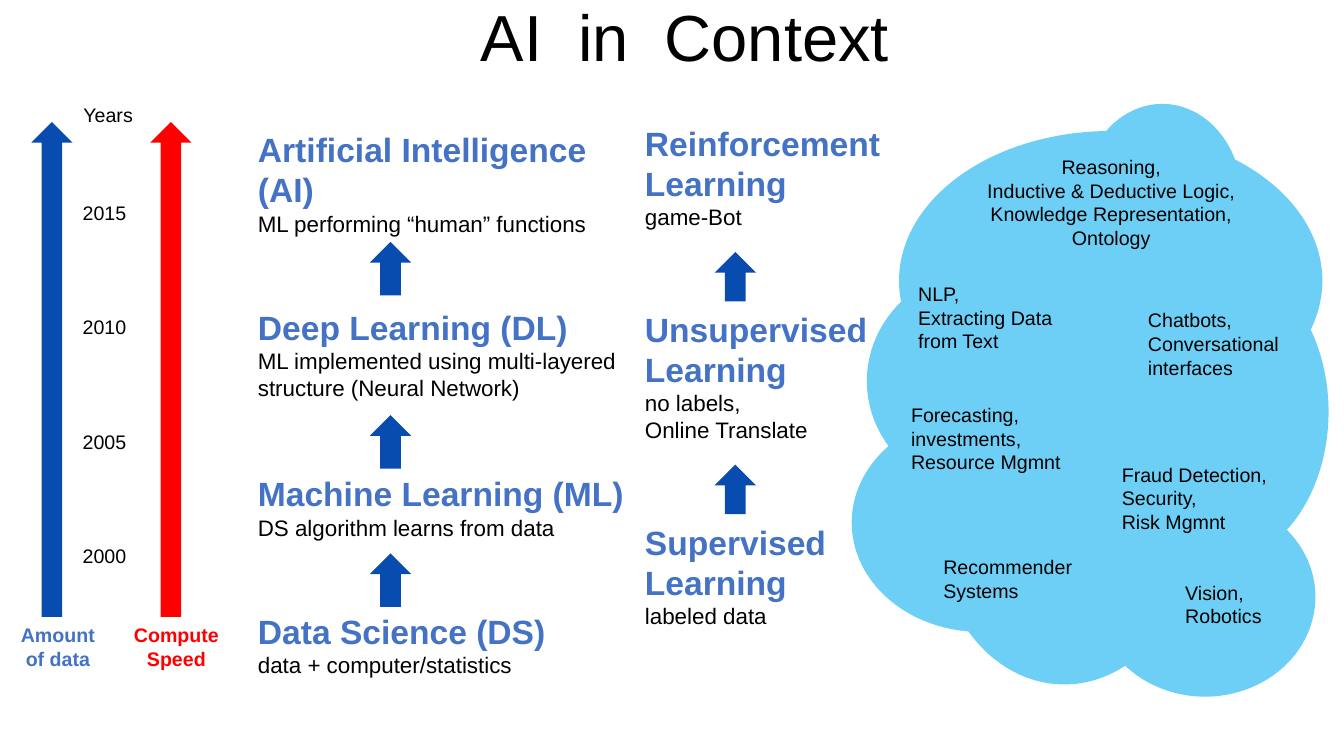
from typing import NamedTuple

from pptx import Presentation
from pptx.dml.color import RGBColor
from pptx.enum.shapes import MSO_SHAPE as Shape
from pptx.enum.text import MSO_ANCHOR as Anchor, PP_ALIGN as Align
from pptx.util import Pt

BLACK, BLUE, NAVY = "000000", "4472C4", "084CB0"
RED, SKY = "FF0000", "6DCFF6"


class Box(NamedTuple):
    left: float
    top: float
    width: float
    height: float


class Line(NamedTuple):
    text: str
    size: float = 14
    color: str = BLACK
    bold: bool = False
    gap: float = 0


class Note(NamedTuple):
    box: Box
    lines: list[Line]
    align: Align = Align.LEFT


def tint(code: str) -> RGBColor:
    return RGBColor.from_string(code)


def head(text: str, gap: float = 0) -> Line:
    return Line(text, 24, BLUE, True, gap)


def body(text: str) -> Line:
    return Line(text, 16)


def plain(*texts: str) -> list[Line]:
    return [Line(text) for text in texts]


def draw_shape(slide, kind: Shape, box: Box, color: str) -> None:
    shape = slide.shapes.add_shape(kind, *map(Pt, box))
    shape.shadow.inherit = False
    shape.fill.solid()
    shape.fill.fore_color.rgb = tint(color)
    shape.line.fill.background()


def draw_note(slide, note: Note):
    frame = slide.shapes.add_textbox(*map(Pt, note.box)).text_frame
    frame.word_wrap = True
    for i, line in enumerate(note.lines):
        para = frame.add_paragraph() if i else frame.paragraphs[0]
        para.alignment = note.align
        if line.gap:
            para.space_before = Pt(line.gap)
        for j, part in enumerate(line.text.split("\n")):
            if j:
                para.add_line_break()
            run = para.add_run()
            run.text = part
            run.font.name = "Arial"
            run.font.size = Pt(line.size)
            run.font.bold = line.bold
            run.font.color.rgb = tint(line.color)
    return frame


# Cloud of uses
CLOUD = [
    Box(773.3, 74.2, 113.8, 133.9),
    Box(670.3, 273.6, 180, 215.3),
    Box(781.9, 355, 157.7, 142.6),
    Box(791.3, 186.5, 157.7, 215.3),
    Box(608.4, 295.2, 184.3, 156.2),
    Box(619.2, 190.1, 177.1, 164.2),
    Box(642.2, 93.6, 302.4, 213.8),
]
USES = [
    Note(Box(674.6, 107.3, 238.3, 94.3),
         plain("Reasoning,", "Inductive & Deductive Logic,",
               "Knowledge Representation,", "Ontology"), Align.CENTER),
    Note(Box(648.7, 198, 128.9, 72.7),
         plain("NLP,", "Extracting Data from Text")),
    Note(Box(812.9, 216.7, 124.6, 72.7),
         plain("Chatbots,", "Conversational", "interfaces")),
    Note(Box(643.7, 284.4, 135.4, 94.3),
         plain("Forecasting,", "investments,", "Resource Mgmnt")),
    Note(Box(794.2, 326.9, 142.6, 72.7),
         plain("Fraud Detection, Security,", "Risk Mgmnt")),
    Note(Box(666.7, 393.1, 135.4, 51.1), plain("Recommender", "Systems")),
    Note(Box(839.5, 411.1, 85, 51.1), plain("Vision,", "Robotics")),
]

# Columns of stages
FIELDS = Note(Box(177.1, 88.6, 282.2, 416.9), [
    head("Artificial Intelligence (AI)"),
    body("ML performing “human” functions"),
    head("Deep Learning (DL)", 50),
    body("ML implemented using multi-layered"),
    body("structure (Neural Network)"),
    head("Machine Learning (ML)", 52),
    body("DS algorithm learns from data"),
    head("Data Science (DS)", 50),
    body("data + computer/statistics"),
])
MODES = Note(Box(453.6, 84.2, 200.9, 375.8), [
    head("Reinforcement\nLearning"),
    body("game-Bot"),
    head("Unsupervised\nLearning", 56),
    body("no labels,\nOnline Translate"),
    head("Supervised\nLearning", 56),
    body("labeled data"),
])

# Trend arrows and their captions
WIDE = 29.5
TRENDS = [
    (22.3, NAVY, Note(Box(0, 441.4, 82.8, 51.1),
                      [Line("Amount\nof data", 14, BLUE, True)],
                      Align.CENTER)),
    (107.3, RED, Note(Box(74.2, 441.4, 103.7, 51.1),
                      [Line("Compute\nSpeed", 14, RED, True)],
                      Align.CENTER)),
]
STEPS = [Box(264.2, top, WIDE, 38.2) for top in (172.8, 296.6, 395.3)]
STEPS += [Box(510.5, top, WIDE, 35.3) for top in (180, 331.9)]

# Time scale
SCALE = [Note(Box(52.5, 69.8, 55.4, 28.8), plain("Years"))]
SCALE += [Note(Box(52, 139.7 + 81.8 * i, 55.4, 28.8), plain(str(2015 - 5 * i)))
          for i in range(4)]


def main() -> None:
    deck = Presentation()
    deck.slide_width, deck.slide_height = Pt(960), Pt(540)
    slide = deck.slides.add_slide(deck.slide_layouts[6])

    for part in CLOUD:
        draw_shape(slide, Shape.OVAL, part, SKY)

    # Title
    title = draw_note(slide, Note(Box(42.5, 5, 893.5, 50.4),
                                  [Line("AI  in  Context", 46.5)],
                                  Align.CENTER))
    title.vertical_anchor = Anchor.BOTTOM
    title.paragraphs[0].line_spacing = 0.7

    for left, color, label in TRENDS:
        draw_shape(slide, Shape.UP_ARROW, Box(left, 87.1, WIDE, 353.5), color)
        draw_note(slide, label)
    for step in STEPS:
        draw_shape(slide, Shape.UP_ARROW, step, NAVY)
    for note in [FIELDS, MODES, *USES, *SCALE]:
        draw_note(slide, note)

    deck.save("out.pptx")


if __name__ == "__main__":
    main()
